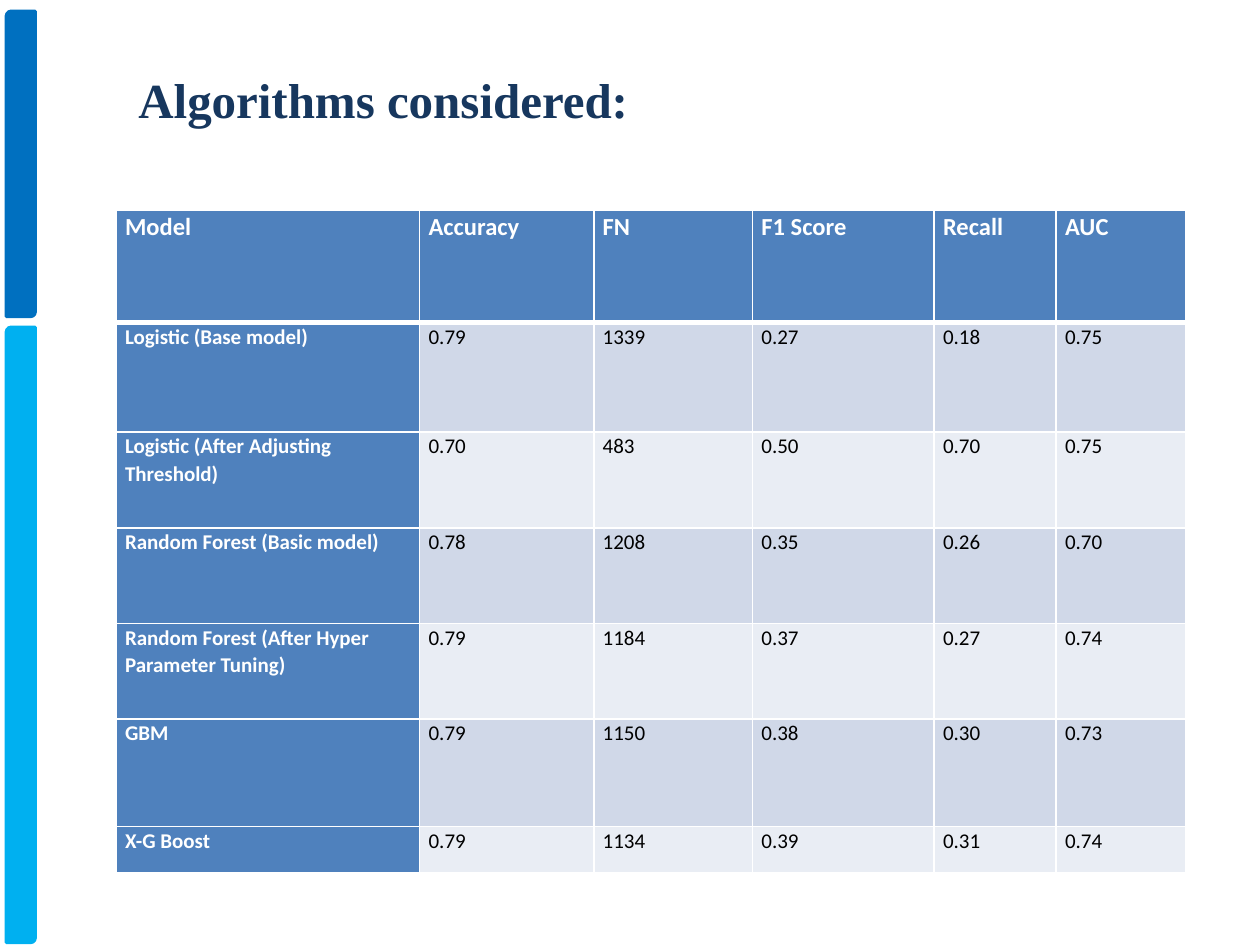
"""Build the slide that compares the algorithms considered."""
import pptx
import pptx.dml.color
import pptx.enum.shapes
import pptx.oxml
import pptx.oxml.ns
import pptx.util

Cm = pptx.util.Cm
Pt = pptx.util.Pt

TITLE = "Algorithms considered:"
HEADINGS = ("Model", "Accuracy", "FN", "F1 Score", "Recall", "AUC")
MODELS = [
    ("Logistic (Base model)", "0.79", "1339", "0.27", "0.18", "0.75"),
    ("Logistic (After Adjusting Threshold)", "0.70", "483", "0.50", "0.70", "0.75"),
    ("Random Forest (Basic model)", "0.78", "1208", "0.35", "0.26", "0.70"),
    ("Random Forest (After Hyper Parameter Tuning)", "0.79", "1184", "0.37", "0.27", "0.74"),
    ("GBM", "0.79", "1150", "0.38", "0.30", "0.73"),
    ("X-G Boost", "0.79", "1134", "0.39", "0.31", "0.74"),
]
COLUMN_WIDTHS = (6.12, 3.51, 3.2, 3.66, 2.46, 2.62)
ROW_HEIGHTS = (2.26, 2.21, 1.93, 1.93, 1.93, 2.16, 0.94)
SIDE_BARS = [(0.23, 6.15, "0070C0"), (6.6, 12.4, "00B0F0")]
WHITE, BLACK, NAVY, BLUE = "FFFFFF", "000000", "17375E", "4F81BD"
BANDS = ("E9EDF4", "D0D8E8")


def paint(target, color):
    """Give a fill a solid colour."""
    target.solid()
    target.fore_color.rgb = pptx.dml.color.RGBColor.from_string(color)


def style(para, font_name, size, color, bold):
    """Format every run of a paragraph."""
    for span in para.runs:
        span.font.name = font_name
        span.font.size = Pt(size)
        span.font.bold = bold
        paint(span.font.fill, color)


def add_borders(cell, widths):
    """Put white lines on the left, right, top and bottom of a cell."""
    properties = cell._tc.get_or_add_tcPr()
    for index, (side, width) in enumerate(zip("LRTB", widths)):
        line = pptx.oxml.parse_xml(
            f'<a:ln{side} {pptx.oxml.ns.nsdecls("a")} w="{Pt(width)}"><a:solidFill>'
            f'<a:srgbClr val="{WHITE}"/></a:solidFill></a:ln{side}>')
        properties.insert(index, line)


def add_side_bar(page, top, height, color):
    """Draw one bar at the left edge."""
    bar = page.shapes.add_shape(
        pptx.enum.shapes.MSO_SHAPE.ROUND_2_DIAG_RECTANGLE,
        Cm(0.13), Cm(top), Cm(0.58), Cm(height))
    bar.shadow.inherit = False
    paint(bar.fill, color)
    paint(bar.line.fill, color)
    bar.line.width = Pt(2)


def fill_cell(cell, text, row, column):
    """Write and format one table cell."""
    header, label = row == 0, row == 0 or column == 0
    cell.margin_left = cell.margin_right = Cm(0.18)
    cell.margin_top = cell.margin_bottom = 0
    cell.text_frame.text = text
    para = cell.text_frame.paragraphs[0]
    para.line_spacing = 1.07
    style(para, "Calibri", 14 if header else 12, WHITE if label else BLACK, label)
    paint(cell.fill, BLUE if label else BANDS[row % 2])
    add_borders(cell, (1, 1, 3 if row == 1 else 1, 3 if header else 1))


def add_scores(page):
    """Add the table of model scores."""
    rows = [HEADINGS] + MODELS
    table = page.shapes.add_table(
        len(rows), len(HEADINGS), Cm(2.34), Cm(4.24),
        Cm(sum(COLUMN_WIDTHS)), Cm(sum(ROW_HEIGHTS))).table
    table.first_col = True
    for column, width in zip(table.columns, COLUMN_WIDTHS):
        column.width = Cm(width)
    for row, height in zip(table.rows, ROW_HEIGHTS):
        row.height = Cm(height)
    for row, values in enumerate(rows):
        for column, text in enumerate(values):
            fill_cell(table.cell(row, column), text, row, column)


def add_title(page):
    """Add the heading of the slide."""
    box = page.shapes.add_textbox(Cm(2.54), Cm(1.27), Cm(19.48), Cm(2.24))
    box.text_frame.word_wrap = True
    box.text_frame.text = TITLE
    style(box.text_frame.paragraphs[0], "Times New Roman", 28, NAVY, True)


deck = pptx.Presentation()
deck.slide_width, deck.slide_height = Cm(25.4), Cm(19.05)
page = deck.slides.add_slide(deck.slide_layouts[6])
for side_bar in SIDE_BARS:
    add_side_bar(page, *side_bar)
add_scores(page)
add_title(page)
deck.save("out.pptx")
